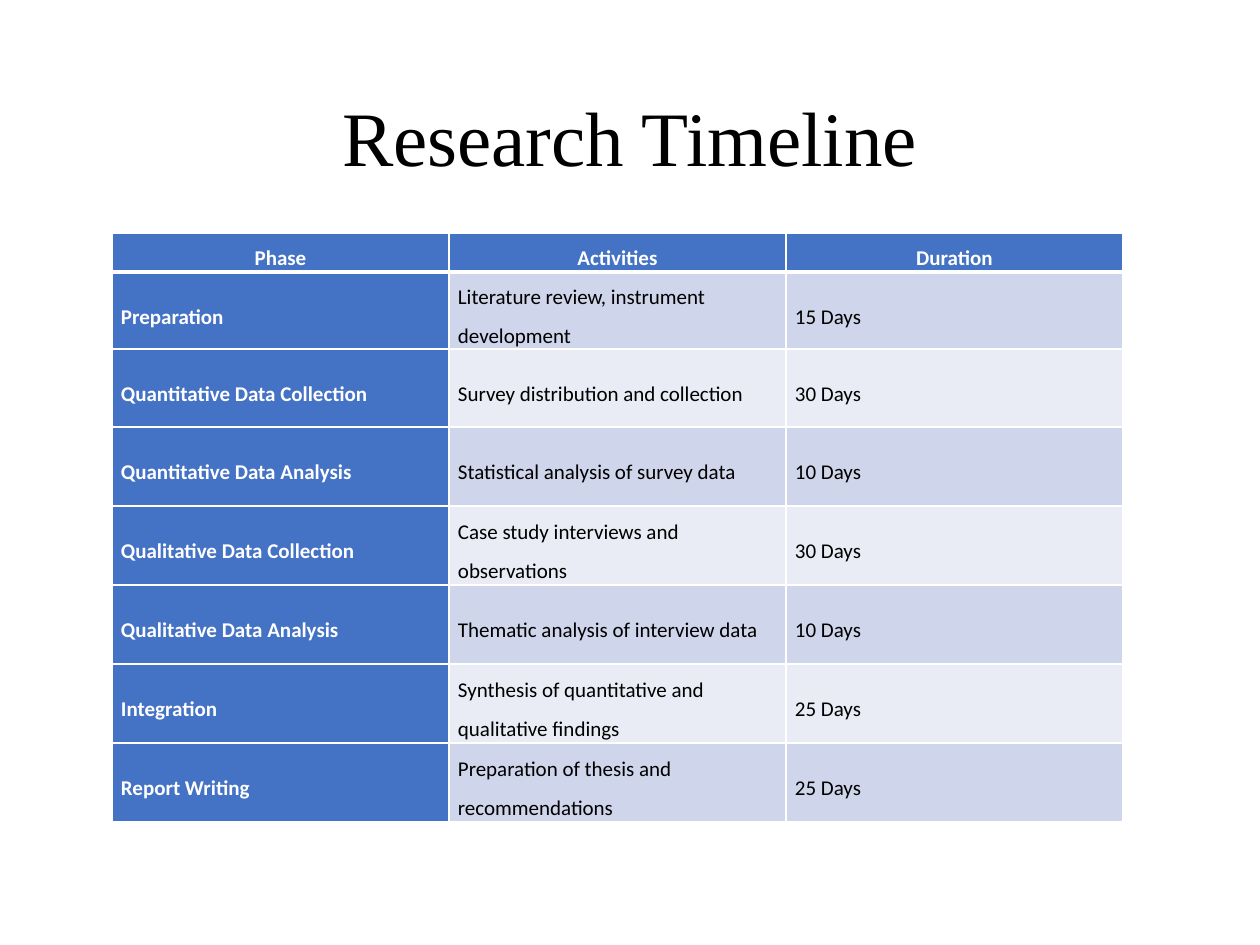
from pptx import Presentation, util as u
from pptx.dml.color import RGBColor
from pptx.enum import text
from pptx.oxml import parse_xml
from pptx.oxml.ns import nsdecls

PX = 914400 // 126  # EMU per px
HUES = {"head": "4472C4", "odd": "CFD5EA", "even": "E9EBF5",
        "white": "FFFFFF", "black": "000000"}
COLS = [337, 337, 337]
ROWS = [39, 77, 78] + [79] * 5
DATA = [
    ("Phase", "Activities", "Duration"),
    ("Preparation", "Literature review, instrument development", "15 Days"),
    ("Quantitative Data Collection", "Survey distribution and collection", "30 Days"),
    ("Quantitative Data Analysis", "Statistical analysis of survey data", "10 Days"),
    ("Qualitative Data Collection", "Case study interviews and observations", "30 Days"),
    ("Qualitative Data Analysis", "Thematic analysis of interview data", "10 Days"),
    ("Integration", "Synthesis of quantitative and qualitative findings", "25 Days"),
    ("Report Writing", "Preparation of thesis and recommendations", "25 Days"),
]


def px(n):
    return u.Emu(n * PX)


def hue(name):
    return RGBColor.from_string(HUES[name])


def style(para, face, size, tint, bold, align, gap):
    para.alignment, para.line_spacing = align, gap
    for run in para.runs:
        font = run.font
        font.name, font.size, font.bold = face, u.Pt(size), bold
        font.color.rgb = hue(tint)


def add_title(slide, words):
    box = slide.shapes.title
    box.left, box.top, box.width, box.height = map(px, (87, 50, 1086, 183))
    frame = box.text_frame
    frame.text = words
    frame.vertical_anchor = text.MSO_ANCHOR.MIDDLE
    style(frame.paragraphs[0], "Times New Roman", 44, "black", False,
          text.PP_ALIGN.CENTER, 0.9)


def edge(cell, side, width):
    cell._tc.get_or_add_tcPr().append(parse_xml(
        f'<a:ln{side} {nsdecls("a")} w="{u.Pt(width)}"><a:solidFill>'
        f'<a:srgbClr val="{HUES["white"]}"/></a:solidFill></a:ln{side}>'))


def fill_cell(cell, words, row, col):
    top, key = row == 0, row == 0 or col == 0
    cell.text = words
    cell.margin_left = cell.margin_right = px(9)
    cell.margin_top = cell.margin_bottom = 0
    cell.vertical_anchor = text.MSO_ANCHOR.TOP if top else text.MSO_ANCHOR.MIDDLE
    style(cell.text_frame.paragraphs[0], "Calibri", 12,
          "white" if key else "black", key,
          text.PP_ALIGN.CENTER if top else text.PP_ALIGN.LEFT, 1.5)

    # Thick rule below the header; borders must precede the fill
    for side in "LRTB":
        thick = (row, side) in ((0, "B"), (1, "T"))
        edge(cell, side, 3 if thick else 1)
    cell.fill.solid()
    cell.fill.fore_color.rgb = hue("head" if key else "odd" if row % 2 else "even")


def add_grid(slide):
    grid = slide.shapes.add_table(len(ROWS), len(COLS), px(112), px(233),
                                  px(sum(COLS)), px(sum(ROWS))).table
    for col, wide in zip(grid.columns, COLS):
        col.width = px(wide)
    for row, high in zip(grid.rows, ROWS):
        row.height = px(high)
    for r, line in enumerate(DATA):
        for c, words in enumerate(line):
            fill_cell(grid.cell(r, c), words, r, c)


def main():
    deck = Presentation()
    deck.slide_width, deck.slide_height = px(1260), px(945)
    slide = deck.slides.add_slide(deck.slide_layouts[5])
    # Heading
    add_title(slide, "Research Timeline")
    # Schedule
    add_grid(slide)
    deck.save("out.pptx")


if __name__ == "__main__":
    main()
